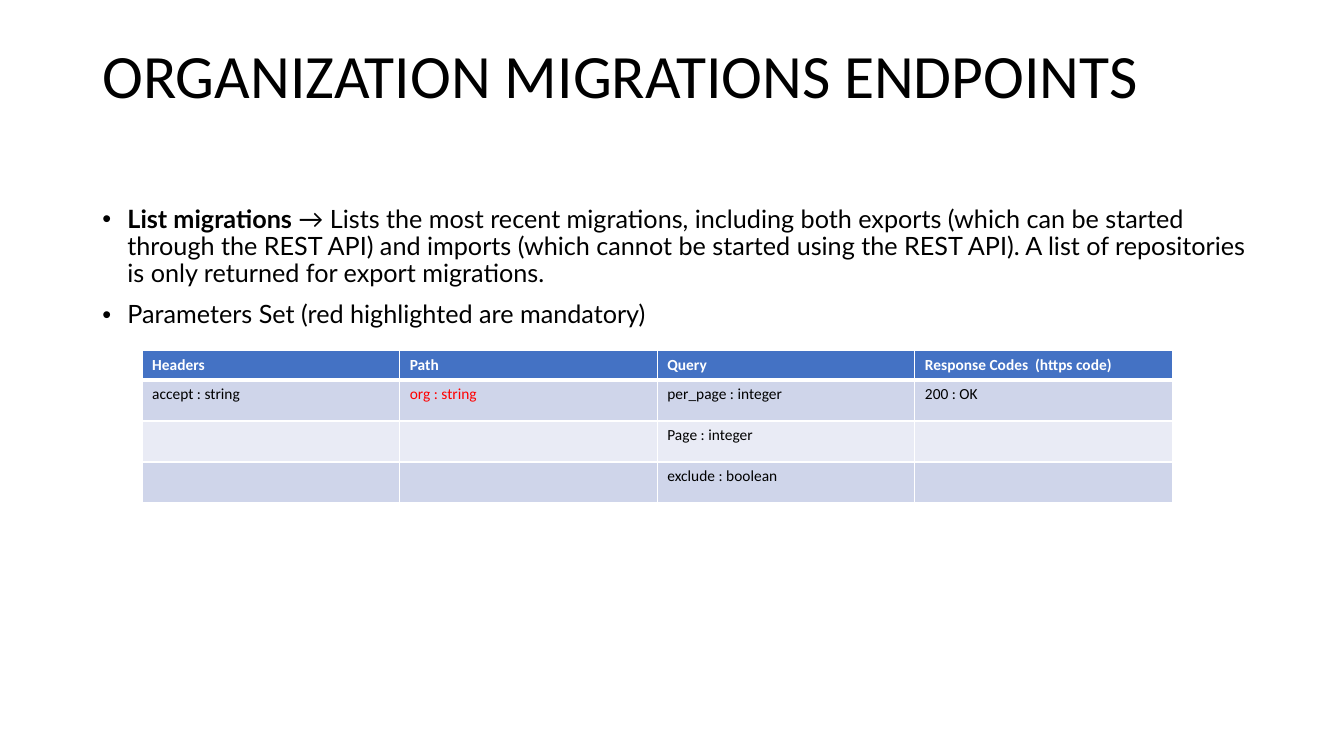
from lxml import etree
from pptx import Presentation
from pptx import util as u
from pptx.dml.color import RGBColor
from pptx.enum import text
from pptx.oxml.ns import qn

HUES = {"ink": "000000", "white": "FFFFFF", "must": "FF0000",
        "head": "4472C4", "dark": "CFD5EA", "light": "E9EBF5"}
MUST = "org : string"
ROWS = [
    ["Headers", "Path", "Query", "Response Codes  (https code)"],
    ["accept : string", MUST, "per_page : integer", "200 : OK"],
    ["", "", "Page : integer", ""],
    ["", "", "exclude : boolean", ""],
]
POINTS = [
    [("List migrations ", True),
     ("\u2192 Lists the most recent migrations, including both exports "
      "(which can be started through the REST API) and imports (which cannot "
      "be started using the REST API). A list of repositories is only "
      "returned for export migrations.", False)],
    [("Parameters Set (red highlighted are mandatory)", False)],
]


def hue(name):
    """Look up a colour by name."""
    return RGBColor.from_string(HUES[name])


def style(item, form):
    """Set each attribute in a dict of format values."""
    for key, value in form.items():
        setattr(item, key, value)


def add_run(para, words, size, face, tint="ink", bold=False):
    """Add one run of styled text to a paragraph."""
    run = para.add_run()
    run.text = words
    style(run.font, {"size": u.Pt(size), "name": face, "bold": bold})
    run.font.color.rgb = hue(tint)


def add_box(slide, left, top, width, height):
    """Add a wrapping text box and return its frame."""
    box = slide.shapes.add_textbox(*map(u.Pt, (left, top, width, height)))
    style(box.text_frame, {"word_wrap": True,
                           "auto_size": text.MSO_AUTO_SIZE.NONE,
                           "vertical_anchor": text.MSO_ANCHOR.TOP})
    return box.text_frame


def add_title(slide, words):
    """Add the slide heading."""
    para = add_box(slide, 66, 28.8, 828, 104.4).paragraphs[0]
    para.line_spacing = 0.9
    add_run(para, words, 44, "Calibri")


def add_list(slide, points):
    """Add a bulleted list with hanging indents."""
    frame = add_box(slide, 66, 144, 845.3, 391.7)
    for i, runs in enumerate(points):
        para = frame.add_paragraph() if i else frame.paragraphs[0]
        style(para, {"line_spacing": 0.9, "space_before": u.Pt(10)})
        props = para._p.get_or_add_pPr()
        props.set("marL", str(u.Pt(18)))
        props.set("indent", str(u.Pt(-18)))
        etree.SubElement(props, qn("a:buFont")).set("typeface", "Arial")
        etree.SubElement(props, qn("a:buChar")).set("char", "\u2022")
        for words, bold in runs:
            add_run(para, words, 18, "Lato", bold=bold)


def add_edge(cell, side, width):
    """Draw one white cell border."""
    line = etree.SubElement(cell._tc.get_or_add_tcPr(), qn("a:ln" + side))
    line.set("w", str(u.Pt(width)))
    fill = etree.SubElement(line, qn("a:solidFill"))
    etree.SubElement(fill, qn("a:srgbClr")).set("val", HUES["white"])


def fill_cell(cell, words, row):
    """Set the borders, fill and text of a cell by its row."""
    thick = {"T": 3 if row == 1 else 1, "B": 3 if row == 0 else 1}
    for side in "LRTB":
        add_edge(cell, side, thick.get(side, 1))
    cell.fill.solid()
    cell.fill.fore_color.rgb = hue(
        "head" if row == 0 else "dark" if row % 2 else "light")
    if words:
        tint = "white" if row == 0 else "must" if words == MUST else "ink"
        add_run(cell.text_frame.paragraphs[0], words, 11, "Calibri",
                tint, row == 0)


def add_grid(slide, rows):
    """Add the table of parameters with equal columns."""
    wide, head, high = 184, 20.5, 29.3
    count = len(rows[0])
    size = (wide * count, head + high * (len(rows) - 1))
    grid = slide.shapes.add_table(
        len(rows), count, *map(u.Pt, (101.5, 250.6) + size)).table
    for col in grid.columns:
        col.width = u.Pt(wide)
    for i, row in enumerate(rows):
        grid.rows[i].height = u.Pt(high if i else head)
        for j, words in enumerate(row):
            fill_cell(grid.cell(i, j), words, i)


def main():
    """Build and save the slide."""
    deck = Presentation()
    style(deck, {"slide_width": u.Pt(960), "slide_height": u.Pt(540)})
    slide = deck.slides.add_slide(deck.slide_layouts[6])
    add_title(slide, "ORGANIZATION MIGRATIONS ENDPOINTS")
    add_list(slide, POINTS)
    add_grid(slide, ROWS)
    deck.save("out.pptx")


main()
